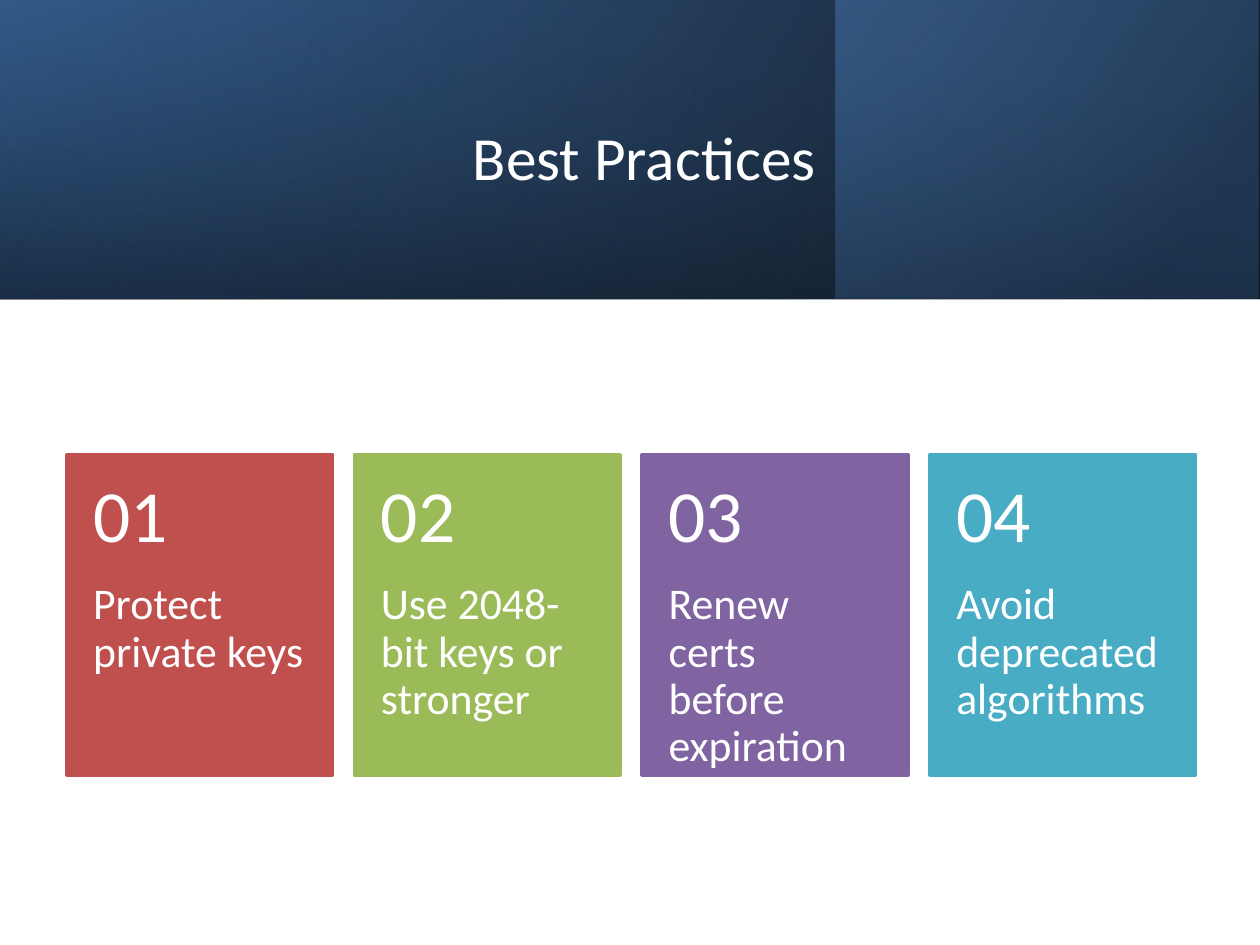
import pptx
import pptx.dml.color
import pptx.enum.shapes
import pptx.enum.text
import pptx.oxml.ns
import pptx.util
from lxml import etree

Inches = pptx.util.Inches
Pt = pptx.util.Pt
ALIGN = pptx.enum.text.PP_ALIGN
ANCHOR = pptx.enum.text.MSO_ANCHOR
RECT = pptx.enum.shapes.MSO_SHAPE.RECTANGLE
qn = pptx.oxml.ns.qn

COLORS = {
    "white": "FFFFFF", "black": "000000", "navy": "244061",
    "blue": "366092", "sky": "4F81BD", "red": "BF504D",
    "green": "9BBB59", "purple": "8064A2", "teal": "49ACC5",
}


def rgb(name):
    return pptx.dml.color.RGBColor.from_string(COLORS[name])


def write(frame, text, size, color="white", font="Calibri",
          align=ALIGN.LEFT, anchor=ANCHOR.TOP, space=1.0,
          inset=(0.1, 0.05, 0.1, 0.05)):
    frame.word_wrap = True
    frame.vertical_anchor = anchor
    (frame.margin_left, frame.margin_top,
     frame.margin_right, frame.margin_bottom) = map(Inches, inset)
    para = frame.paragraphs[0]
    para.alignment = align
    para.line_spacing = space
    run = para.add_run()
    run.text = text
    run.font.size = Pt(size)
    run.font.name = font
    run.font.color.rgb = rgb(color)


class Deck:
    def __init__(self, width, height):
        self.prs = pptx.Presentation()
        self.prs.slide_width = Inches(width)
        self.prs.slide_height = Inches(height)
        self.slide = self.prs.slides.add_slide(self.prs.slide_layouts[6])

    def rect(self, box, color=None):
        shape = self.slide.shapes.add_shape(RECT, *map(Inches, box))
        shape.shadow.inherit = False
        if color:
            shape.fill.solid()
            shape.fill.fore_color.rgb = rgb(color)
            shape.line.color.rgb = rgb(color)
            shape.line.width = Pt(2)
        else:
            shape.fill.background()
            shape.line.fill.background()
        return shape

    def fade(self, box, stops, angle, turn=0):
        """Add a mirrored panel; stops are (place, color, opacity) in percent."""
        shape = self.rect(box)
        shape.rotation = turn
        props = shape.element.spPr
        props.find(qn("a:xfrm")).set("flipH", "1")
        grad = etree.Element(qn("a:gradFill"), rotWithShape="1")
        row = etree.SubElement(grad, qn("a:gsLst"))
        for place, color, alpha in stops:
            stop = etree.SubElement(row, qn("a:gs"), pos=str(place * 1000))
            tint = etree.SubElement(stop, qn("a:srgbClr"), val=COLORS[color])
            etree.SubElement(tint, qn("a:alpha"), val=str(alpha * 1000))
        etree.SubElement(grad, qn("a:lin"), ang=str(angle * 60000), scaled="0")
        props.replace(props.find(qn("a:noFill")), grad)

    def text(self, box, text, size, **style):
        shape = self.slide.shapes.add_textbox(*map(Inches, box))
        write(shape.text_frame, text, size, **style)

    def card(self, left, top, number, label, color):
        width, head, body = 2.11, 1.01, 1.52
        self.rect((left, top, width, 2.54), color)
        self.text((left, top + head, width, body), label, 25,
                  space=0.9, inset=(0.21, 0, 0.21, 0.36))
        self.text((left, top, width, head), f"{number:02d}", 42, space=0.9,
                  anchor=ANCHOR.MIDDLE, inset=(0.21, 0.18, 0.21, 0.18))

    def save(self):
        self.prs.save("out.pptx")


def main():
    deck = Deck(10, 7.5)

    # Banner: three layered gradients
    deck.fade((0, 0, 10, 2.37), [(0, "black", 96), (100, "blue", 100)], 330)
    deck.fade((6.63, 0, 3.36, 2.37),
              [(0, "navy", 68), (19, "navy", 68), (100, "sky", 48)], 320)
    deck.fade((3.81, -3.81, 2.37, 10),
              [(0, "blue", 16), (23, "blue", 16),
               (99, "black", 45), (100, "black", 45)], 350, turn=270)

    # Title
    deck.text((1.13, 0.38, 7.97, 1.72), "Best Practices", 35,
              align=ALIGN.CENTER, anchor=ANCHOR.MIDDLE)

    # Numbered cards in equal steps
    cards = [
        ("Protect private keys", "red"),
        ("Use 2048-bit keys or stronger", "green"),
        ("Renew certs before expiration", "purple"),
        ("Avoid deprecated algorithms", "teal"),
    ]
    first, last = 0.53, 7.38
    step = (last - first) / (len(cards) - 1)
    for i, (label, color) in enumerate(cards):
        deck.card(first + i * step, 3.61, i + 1, label, color)

    deck.save()


if __name__ == "__main__":
    main()
